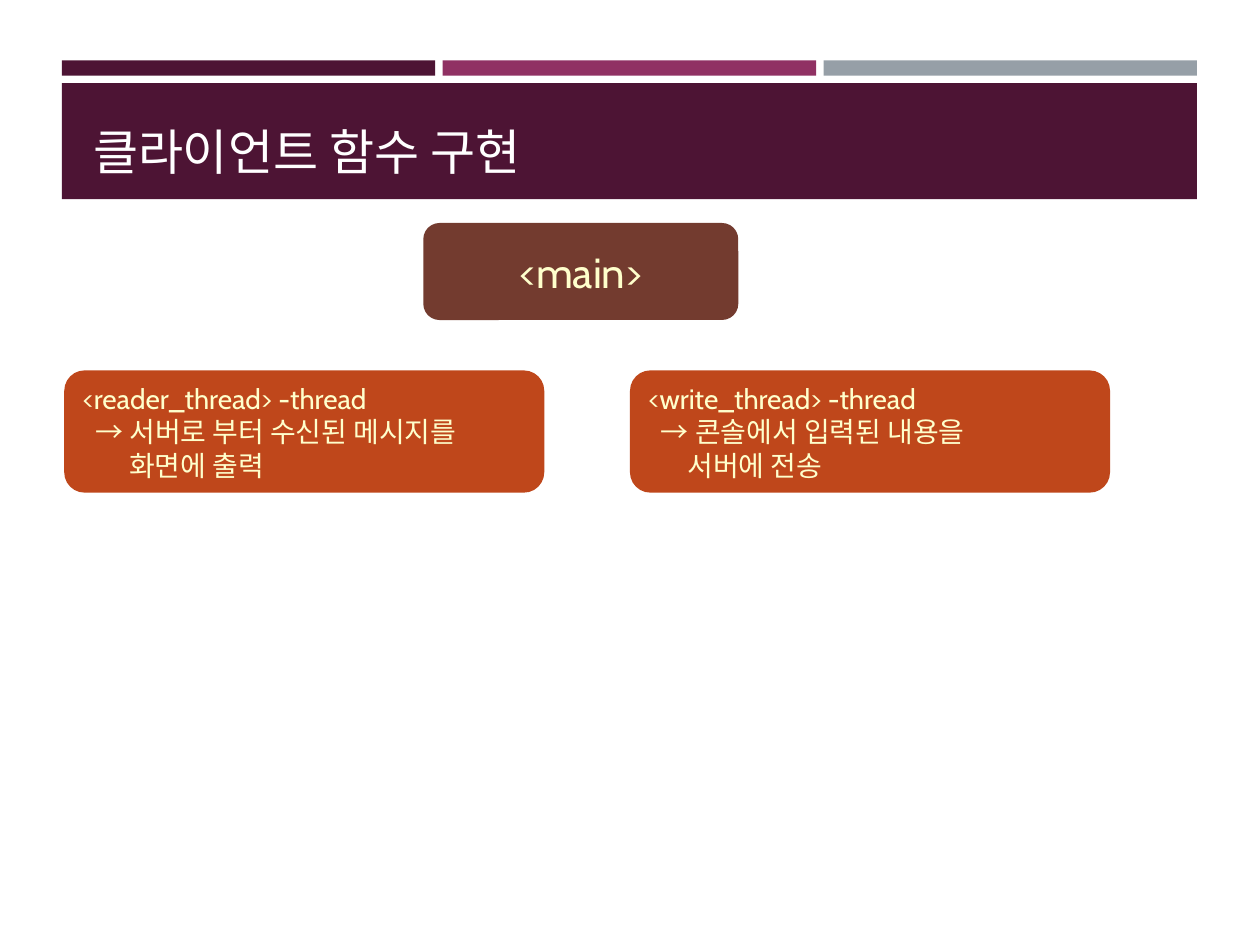
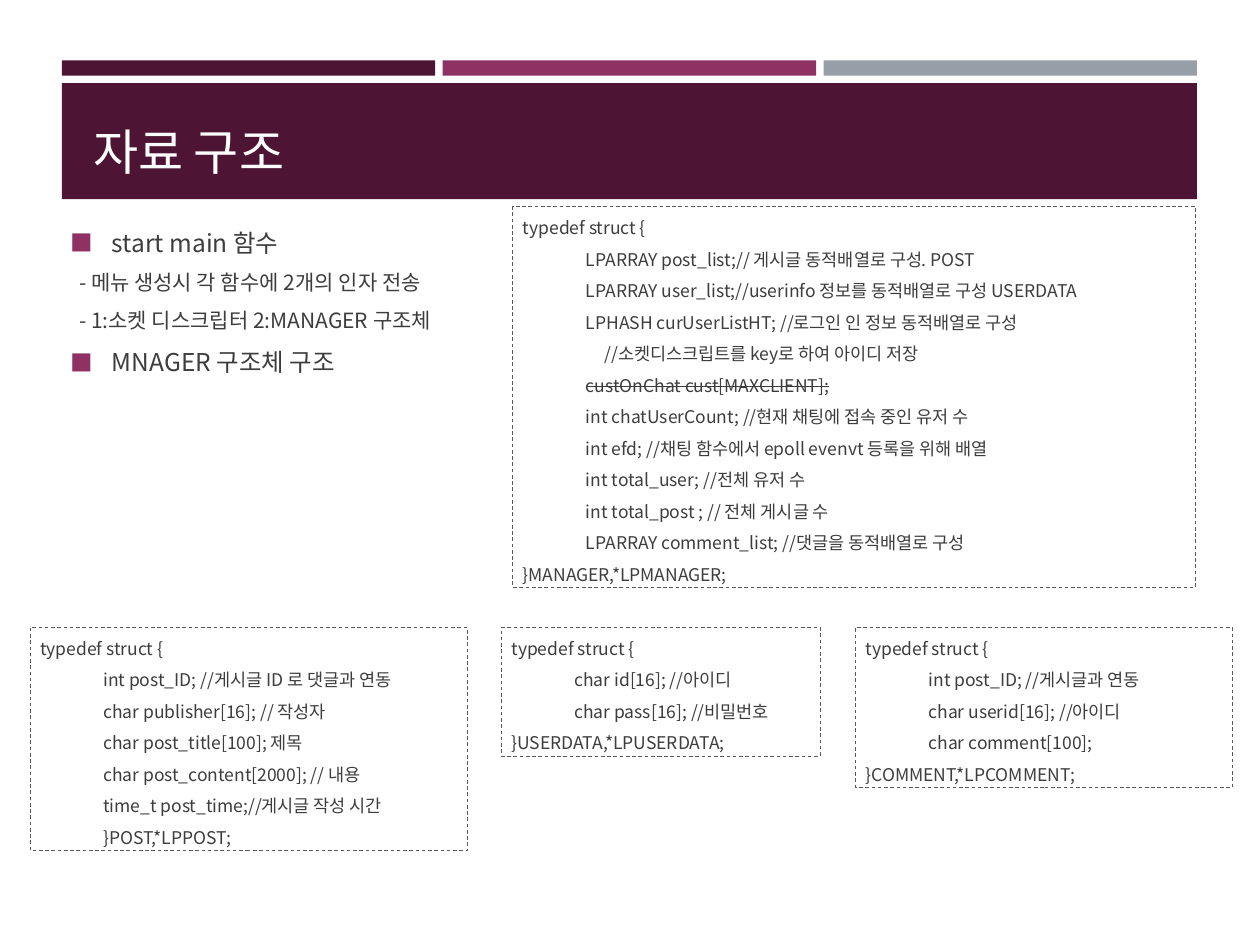
import pptx
import pptx.util
import pptx.dml.color
import pptx.enum.shapes
import pptx.enum.text
import pptx.enum.dml
import pptx.oxml.ns
import lxml.etree

# ---- Shared style ----
C = dict(plum="4D1434", berry="903163", grey="969FA7", brown="733B2F",
         rust="BF471B", cream="FFFFCC", white="FFFFFF", ink="3D3D3D", dash="595959")
LATIN, KOREAN = "Cabin", "Noto Sans CJK KR"
W, H = 10, 7.5
LEFT, BAND_W, GAP = 0.49, 9.01, 0.06
LEADING = 1.2       # line height of one line, as a share of the text size
TAB = 0.5           # indent of a struct member
INSET = 0.1

# ---- Content: a line is (indent, text) ----
CARDS = [
    [(0, "<reader_thread> -thread"),
     (0.1, "→ 서버로 부터 수신된 메시지를"),
     (0.37, "화면에 출력")],
    [(0, "<write_thread> -thread"),
     (0.1, "→ 콘솔에서 입력된 내용을"),
     (0.31, "서버에 전송")],
]
# Outline: (level, text)
OUTLINE = [
    (0, "start main 함수"),
    (1, "- 메뉴 생성시 각 함수에 2개의 인자 전송"),
    (1, "- 1:소켓 디스크립터 2:MANAGER 구조체"),
    (0, "MNAGER 구조체 구조"),
]
STRUCK = "custOnChat cust[MAXCLIENT];"
# Structs: (left, top, width, lines)
STRUCTS = [
    (4.07, 1.64, 5.42, [
        (0, "typedef struct {"),
        (TAB, "LPARRAY post_list;// 게시글 동적배열로 구성. POST"),
        (TAB, "LPARRAY user_list;//userinfo 정보를 동적배열로 구성 USERDATA"),
        (TAB, "LPHASH curUserListHT; //로그인 인 정보 동적배열로 구성"),
        (TAB + 0.15, "//소켓디스크립트를 key로 하여 아이디 저장"),
        (TAB, STRUCK),
        (TAB, "int chatUserCount; //현재 채팅에 접속 중인 유저 수"),
        (TAB, "int efd; //채팅 함수에서 epoll evenvt 등록을 위해 배열"),
        (TAB, "int total_user; //전체 유저 수"),
        (TAB, "int total_post ; // 전체 게시글 수"),
        (TAB, "LPARRAY comment_list; //댓글을 동적배열로 구성"),
        (0, "}MANAGER,*LPMANAGER;")]),
    (0.24, 4.98, 3.47, [
        (0, "typedef struct {"),
        (TAB, "int post_ID; //게시글 ID 로 댓글과 연동"),
        (TAB, "char publisher[16]; // 작성자"),
        (TAB, "char post_title[100]; 제목"),
        (TAB, "char post_content[2000]; // 내용"),
        (TAB, "time_t post_time;//게시글 작성 시간"),
        (TAB, "}POST,*LPPOST;")]),
    (3.98, 4.98, 2.53, [
        (0, "typedef struct {"),
        (TAB, "char id[16]; //아이디"),
        (TAB, "char pass[16]; //비밀번호"),
        (0, "}USERDATA,*LPUSERDATA;")]),
    (6.79, 4.98, 2.99, [
        (0, "typedef struct {"),
        (TAB, "int post_ID; //게시글과 연동"),
        (TAB, "char userid[16]; //아이디"),
        (TAB, "char comment[100];"),
        (0, "}COMMENT,*LPCOMMENT;")]),
]

# ---- Helpers ----
inch = pptx.util.Inches
SHAPE = pptx.enum.shapes.MSO_SHAPE
ANCHOR = pptx.enum.text.MSO_ANCHOR
ALIGN = pptx.enum.text.PP_ALIGN


def rgb(name):
    return pptx.dml.color.RGBColor.from_string(C[name])


def sub(parent, tag, **attrs):
    return lxml.etree.SubElement(parent, pptx.oxml.ns.qn(tag), **attrs)


def box(s, kind, at, fill=None):
    sp = s.shapes.add_shape(kind, *map(inch, at))
    sp.shadow.inherit = False
    sp.line.fill.background()
    if fill:
        sp.fill.solid()
        sp.fill.fore_color.rgb = rgb(fill)
    else:
        sp.fill.background()
    return sp


def frame(sp, anchor, insets=(INSET, 0.05, INSET, 0.05)):
    tf = sp.text_frame
    tf.word_wrap = True
    tf.vertical_anchor = anchor
    tf.margin_left, tf.margin_top, tf.margin_right, tf.margin_bottom = map(inch, insets)
    return tf


def add_line(tf, text, size, color, font=KOREAN, indent=0, hang=0, spacing=1, align=ALIGN.LEFT):
    p = tf.paragraphs[0]
    if p.runs:
        p = tf.add_paragraph()
    p.alignment = align
    p.line_spacing = pptx.util.Pt(round(size * LEADING * spacing, 1))
    pPr = p._p.get_or_add_pPr()
    pPr.set("marL", str(int(inch(indent))))
    pPr.set("indent", str(int(inch(-hang))))
    r = p.add_run()
    r.text = text
    r.font.size = pptx.util.Pt(size)
    r.font.name = font
    r.font.color.rgb = rgb(color)
    sub(r._r.get_or_add_rPr(), "a:ea", typeface=KOREAN)
    return p, r


def square_bullet(p):
    pPr = p._p.get_or_add_pPr()
    sub(sub(pPr, "a:buClr"), "a:srgbClr", val=C["berry"])
    sub(pPr, "a:buSzPct", val="92000")
    sub(pPr, "a:buFont", typeface=KOREAN)
    sub(pPr, "a:buChar", char="■")


def titled_slide(prs, title):
    s = prs.slides.add_slide(prs.slide_layouts[6])
    strips = ("plum", "berry", "grey")
    strip_w = (BAND_W - GAP * (len(strips) - 1)) / len(strips)
    for i, color in enumerate(strips):
        box(s, SHAPE.RECTANGLE, (LEFT + i * (strip_w + GAP), 0.48, strip_w, 0.12), color)
    box(s, SHAPE.RECTANGLE, (LEFT, 0.66, BAND_W, 0.92), "plum")
    sp = s.shapes.add_textbox(*map(inch, (0.64, 0.75, 8.74, 0.73)))
    add_line(frame(sp, ANCHOR.BOTTOM), title, 28, "white")
    return s


prs = pptx.Presentation()
prs.slide_width, prs.slide_height = inch(W), inch(H)

# ---- Slide 1: client functions ----
s = titled_slide(prs, "클라이언트 함수 구현")
sp = box(s, SHAPE.ROUNDED_RECTANGLE, (3.36, 1.77, 2.5, 0.77), "brown")
add_line(frame(sp, ANCHOR.MIDDLE), "<main>", 24, "cream", LATIN, align=ALIGN.CENTER)
for i, lines in enumerate(CARDS):
    sp = box(s, SHAPE.ROUNDED_RECTANGLE, (0.51 + i * 4.49, 2.94, 3.81, 0.97), "rust")
    tf = frame(sp, ANCHOR.MIDDLE)
    for indent, text in lines:
        add_line(tf, text, 16, "cream", LATIN, indent)

# ---- Slide 2: data structures ----
s = titled_slide(prs, "자료 구조")
tf = frame(s.shapes.add_textbox(*map(inch, (0.46, 1.64, 4.47, 1.72))), ANCHOR.TOP)
for level, text in OUTLINE:
    if level:
        add_line(tf, text, 12, "ink", indent=0.07, spacing=1.5)
    else:
        p, r = add_line(tf, text, 14, "ink", indent=0.33, hang=0.33, spacing=1.5)
        square_bullet(p)

for left, top, width, lines in STRUCTS:
    height = len(lines) * 0.25 + 0.02
    sp = box(s, SHAPE.RECTANGLE, (left, top, width, height))
    sp.line.color.rgb = rgb("dash")
    sp.line.width = pptx.util.Pt(0.5)
    sp.line.dash_style = pptx.enum.dml.MSO_LINE.DASH
    tf = frame(sp, ANCHOR.TOP, (0.08, 0, 0, 0))
    for indent, text in lines:
        p, r = add_line(tf, text, 10, "ink", indent=indent, spacing=1.5)
        if text == STRUCK:
            r._r.get_or_add_rPr().set("strike", "sngStrike")

prs.save("out.pptx")
